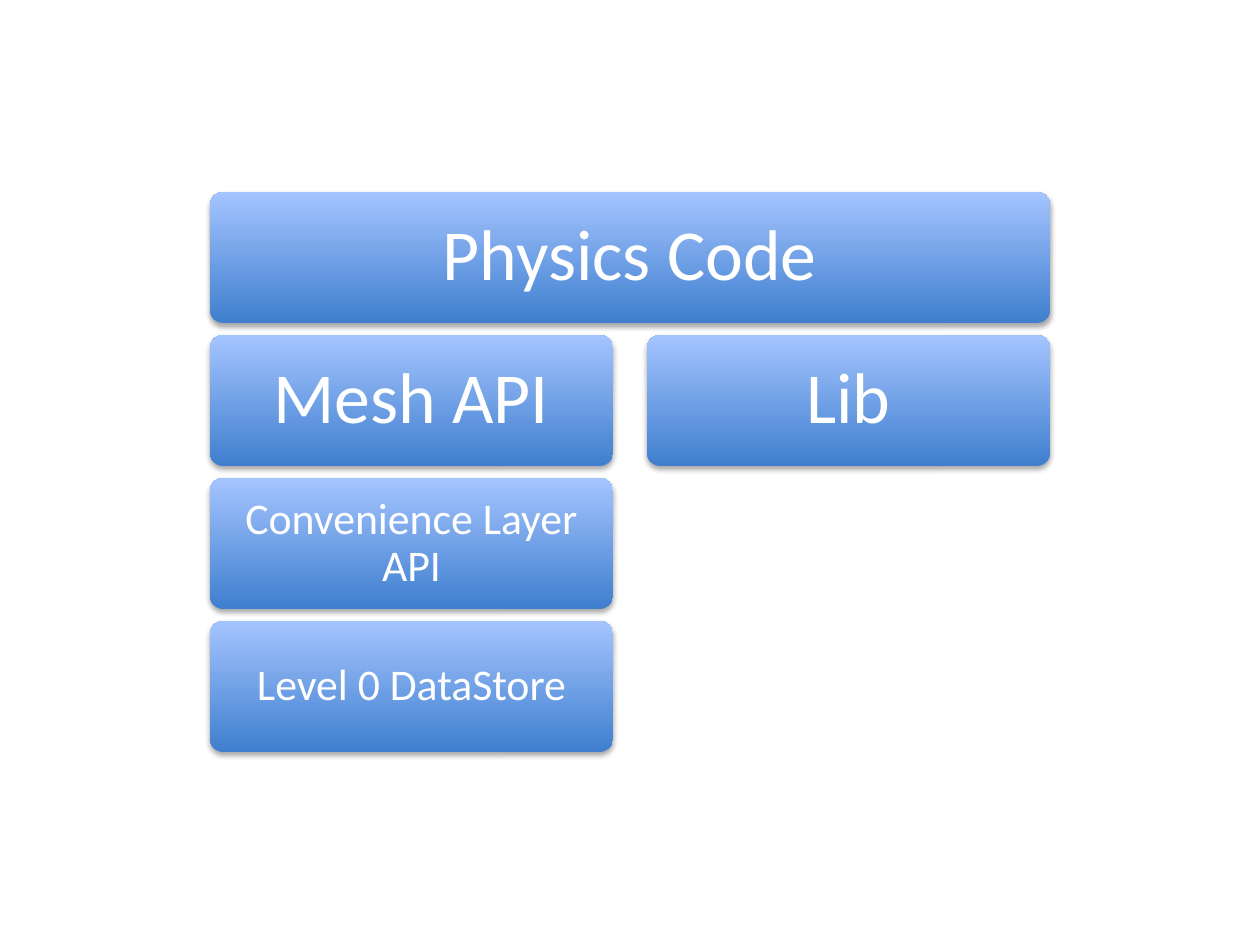
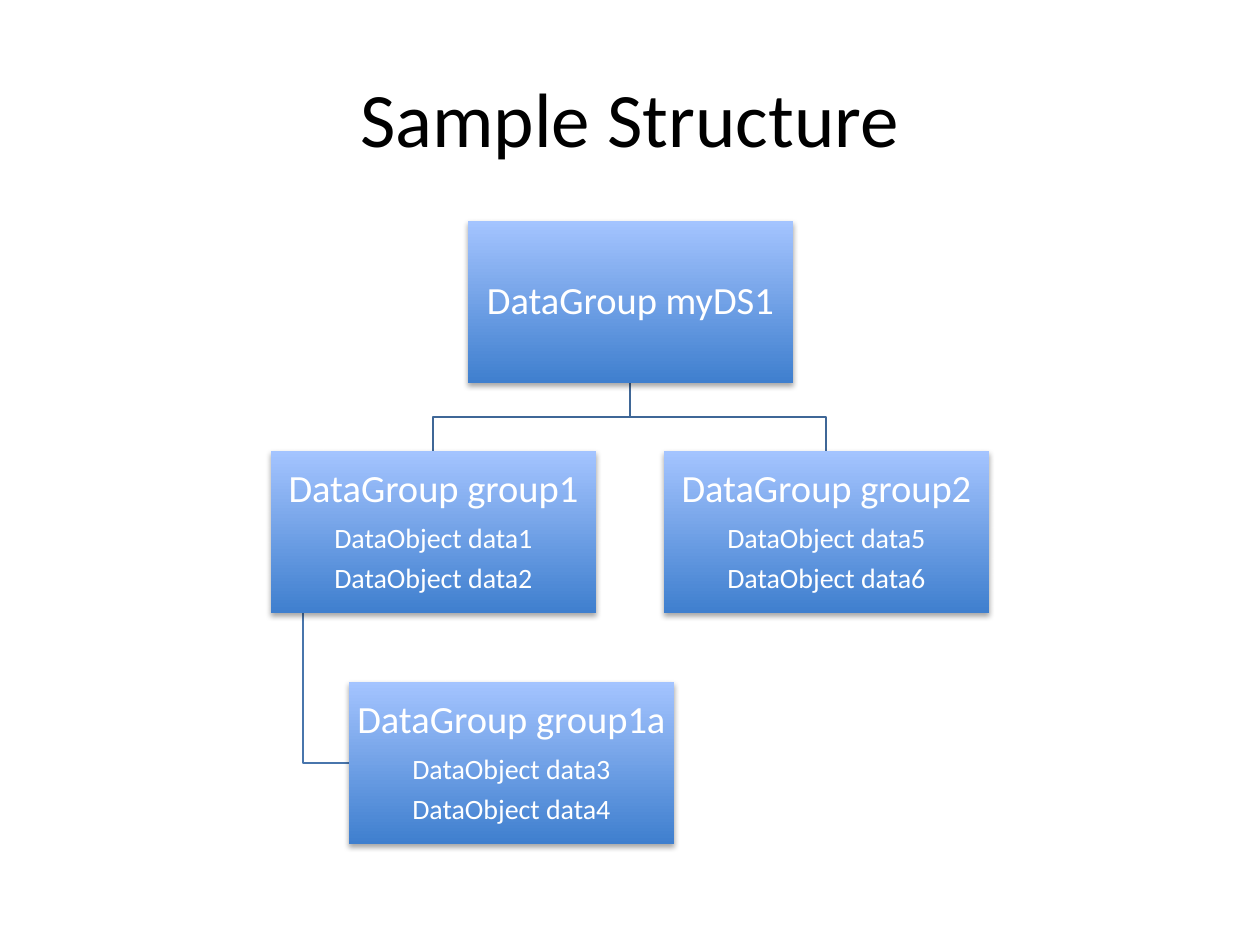
from dataclasses import dataclass
from itertools import pairwise

from lxml.etree import SubElement
from pptx import Presentation
from pptx.dml.color import RGBColor
from pptx.enum.shapes import MSO_SHAPE
from pptx.enum.text import MSO_ANCHOR, PP_ALIGN
from pptx.oxml.ns import qn
from pptx.util import Emu, Pt

SCALE = 914400 / 126


@dataclass(frozen=True)
class Theme:
    """Colours, font and type sizes shared by the slides."""
    font: str = "Calibri"
    dark: str = "3F7FCE"
    light: str = "A4C4FF"
    text: str = "FFFFFF"
    ink: str = "000000"
    link: str = "3F6797"
    sublink: str = "4875AC"
    title: int = 44
    layer: int = 41
    sublayer: int = 25
    group: int = 22
    item: int = 16


@dataclass(frozen=True)
class Layer:
    """One block of the software stack, on a grid."""
    text: str
    row: int
    col: int = 0
    span: int = 1
    size: int = 41
    inset: int = 21


@dataclass(frozen=True)
class Node:
    """One group of the tree, with the items it holds."""
    x: int
    y: int
    name: str
    items: tuple[str, ...] = ()


THEME = Theme()


def px(count: float) -> Emu:
    """Turn pixels into EMU."""
    return Emu(round(count * SCALE))


def place(shape, x: int, y: int, w: int, h: int) -> None:
    """Move and size a shape in pixels."""
    shape.left, shape.top, shape.width, shape.height = map(px, (x, y, w, h))


def write(shape, lines: list[tuple[str, int]], *, color: str = THEME.text,
          inset: int | None = None, tight: bool = True) -> None:
    """Write centred paragraphs, each a text and its type size."""
    frame = shape.text_frame
    frame.word_wrap = True
    frame.vertical_anchor = MSO_ANCHOR.MIDDLE
    if inset is not None:
        frame.margin_left = frame.margin_right = px(inset)
        frame.margin_top = frame.margin_bottom = px(inset)
    for i, (text, size) in enumerate(lines):
        para = frame.add_paragraph() if i else frame.paragraphs[0]
        para.alignment = PP_ALIGN.CENTER
        if tight:
            para.line_spacing = 0.9
            para.space_after = Pt(0.35 * size)
        run = para.add_run()
        run.text = text
        run.font.name = THEME.font
        run.font.size = Pt(size)
        run.font.color.rgb = RGBColor.from_string(color)


def shade(shape) -> None:
    """Give a shape a soft shadow below it."""
    shape.shadow.inherit = False
    effects = shape._element.spPr.find(qn("a:effectLst"))
    outer = SubElement(effects, qn("a:outerShdw"), blurRad=str(Pt(3.1)),
                       dist=str(Pt(1.8)), dir="5400000", rotWithShape="0")
    tint = SubElement(outer, qn("a:srgbClr"), val="000000")
    SubElement(tint, qn("a:alpha"), val="35000")


def block(slide, kind: MSO_SHAPE, x: int, y: int, w: int, h: int):
    """Draw a gradient block with a shadow."""
    shape = slide.shapes.add_shape(kind, *map(px, (x, y, w, h)))
    shape.fill.gradient()
    shape.fill.gradient_angle = 90
    for stop, color in zip(shape.fill.gradient_stops, (THEME.dark, THEME.light)):
        stop.color.rgb = RGBColor.from_string(color)
    shape.line.fill.background()
    shade(shape)
    return shape


def route(slide, points: list[tuple[int, int]], color: str) -> None:
    """Draw an open, bent line through the points."""
    start, *rest = points
    pen = slide.shapes.build_freeform(*start, scale=SCALE)
    pen.add_line_segments(rest, close=False)
    shape = pen.convert_to_shape()
    shape.fill.background()
    shape.line.color.rgb = RGBColor.from_string(color)
    shape.line.width = Pt(0.75)
    shape.shadow.inherit = False


def stack(slide) -> None:
    """Draw the layers of the software stack."""
    left, top, wide, high, gutter, pitch = 210, 192, 403, 131, 34, 143
    small = {"size": THEME.sublayer, "inset": 13}
    layers = [
        Layer("Physics Code", 0, span=2, size=THEME.layer),
        Layer("Mesh API", 1, size=THEME.layer),
        Layer("Convenience Layer API", 2, **small),
        Layer("Level 0 DataStore", 3, **small),
        Layer("Lib", 1, col=1, size=THEME.layer),
    ]
    for layer in layers:
        shape = block(slide, MSO_SHAPE.ROUNDED_RECTANGLE,
                      left + layer.col * (wide + gutter),
                      top + layer.row * pitch,
                      layer.span * (wide + gutter) - gutter, high)
        shape.adjustments[0] = 0.1
        write(shape, [(layer.text, layer.size)], inset=layer.inset)


def tree(slide) -> None:
    """Draw the title and the tree of data groups."""
    title = slide.shapes.title
    place(title, 63, 38, 1134, 157)
    write(title, [("Sample Structure", THEME.title)], color=THEME.ink, tight=False)

    wide, high = 325, 162
    root = Node(468, 221, "DataGroup myDS1")
    first = Node(271, 451, "DataGroup group1",
                 ("DataObject data1", "DataObject data2"))
    child = Node(349, 682, "DataGroup group1a",
                 ("DataObject data3", "DataObject data4"))
    second = Node(664, 451, "DataGroup group2",
                  ("DataObject data5", "DataObject data6"))

    foot, mid = root.y + high, root.x + wide // 2
    for node in (second, first):
        bend, end = (foot + node.y) // 2, node.x + wide // 2
        route(slide, [(mid, foot), (mid, bend), (end, bend), (end, node.y)],
              THEME.link)
    stem, level = first.x + wide // 10, child.y + high // 2
    route(slide, [(stem, first.y + high), (stem, level), (child.x, level)],
          THEME.sublink)

    for node in (root, first, child, second):
        shape = block(slide, MSO_SHAPE.RECTANGLE, node.x, node.y, wide, high)
        lines = [(node.name, THEME.group)]
        lines += [(item, THEME.item) for item in node.items]
        write(shape, lines, inset=2)


def main() -> None:
    """Build both slides and save them."""
    deck = Presentation()
    deck.slide_width, deck.slide_height = px(1260), px(945)
    titled, blank = deck.slide_layouts[5], deck.slide_layouts[6]
    stack(deck.slides.add_slide(blank))
    tree(deck.slides.add_slide(titled))
    deck.save("out.pptx")


main()
